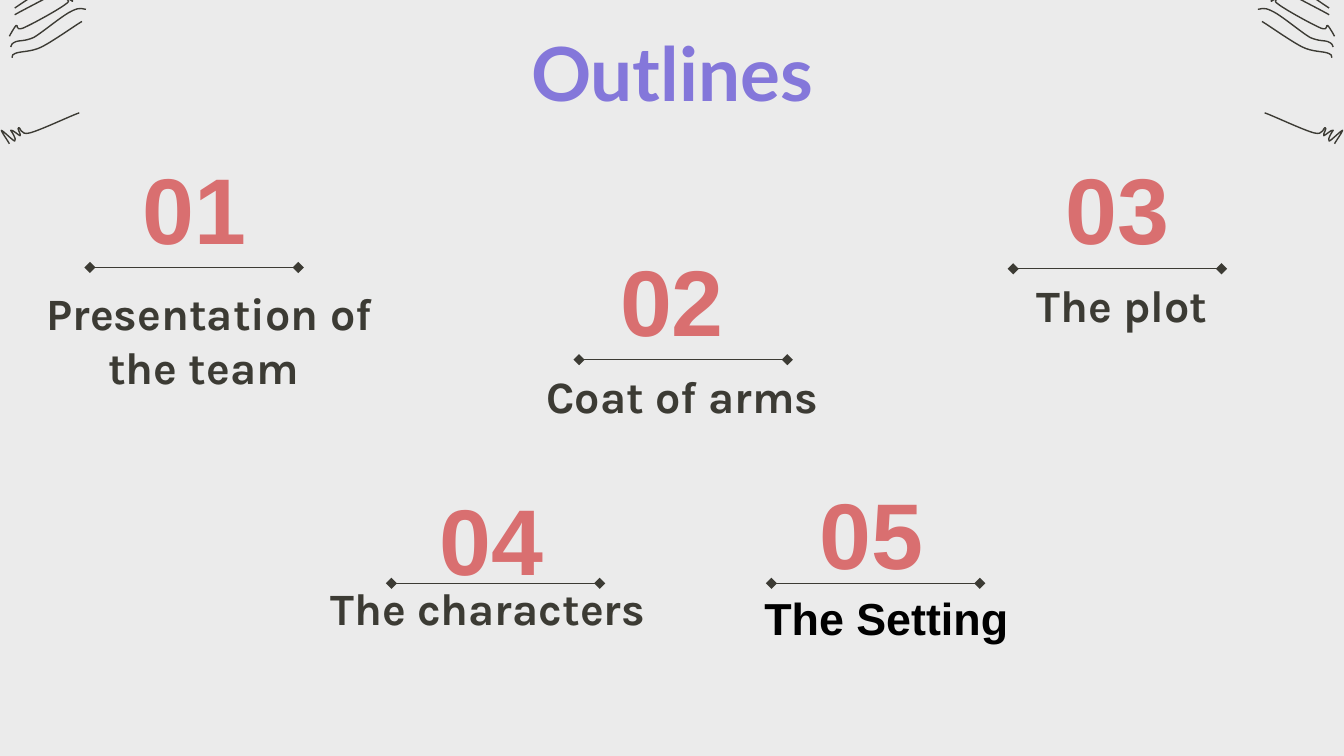
from dataclasses import dataclass

from lxml.etree import SubElement
from pptx import Presentation
from pptx.dml.color import RGBColor
from pptx.enum.shapes import MSO_CONNECTOR
from pptx.enum.text import MSO_ANCHOR, MSO_AUTO_SIZE, PP_ALIGN
from pptx.oxml.ns import qn
from pptx.util import Pt

PAGE_WIDTH, PAGE_HEIGHT = 720, 405
NUMBER_WIDTH, NUMBER_HEIGHT = 106.6, 65.5
RULE_WIDTH = 111.6
INK, CORAL, VIOLET, BLACK, PAPER = "3C3B34", "D96F70", "8477DA", "000000", "EBEBEB"
CURVE_UNIT = 0.72

HAND_STROKES = [
    [(64, -22), (61, -22), (57, -22), (48, -18), (39, -13), (17, 2), (11, 6)],
    [(65, -20), (63, -19), (56, -18), (55, -17), (53, -16), (57, -14), (55, -13),
     (54, -12), (46, -12), (45, -12), (43, -11), (52, -12), (46, -8),
     (40, -4), (16, 8), (11, 11)],
    [(7, 107), (6, 105), (1, 98), (1, 97), (2, 97), (10, 105), (11, 105),
     (13, 104), (8, 97), (8, 97), (9, 96), (14, 101), (15, 101),
     (16, 100), (12, 95), (14, 95), (15, 94), (15, 101), (22, 99),
     (30, 97), (53, 86), (59, 84)],
    [(63, -3), (61, -3), (54, -5), (52, -5), (51, -4), (55, 0), (54, 1),
     (54, 1), (50, -2), (49, -1), (48, -1), (54, 0), (49, 3),
     (44, 7), (24, 18), (17, 21), (11, 23), (14, 18), (12, 19),
     (11, 20), (8, 25), (7, 27)],
    [(64, 7), (62, 7), (60, 5), (54, 8), (47, 11), (32, 24), (25, 28),
     (18, 31), (14, 30), (12, 31), (9, 32), (8, 34), (8, 35)],
    [(61, 16), (56, 19), (39, 31), (31, 35), (23, 39), (15, 38), (11, 40),
     (8, 41), (10, 43), (9, 43)],
]


@dataclass
class Entry:
    number: str
    label: str
    left: float
    top: float
    rule: tuple
    label_box: tuple
    font: str = "Karla"
    color: str = INK
    centred: bool = True


ENTRIES = [
    Entry("01", " Presentation of the team", 50.8, 78.5, (-2.6, 64.8), (-41.4, 75.9, 199.4, 63.4)),
    Entry("02", "Coat of arms", 306.7, 127.4, (3.5, 65.3), (-31.1, 74.9, 180, 31)),
    Entry("03", "The plot", 545.4, 78.5, (-2.6, 65.5), (-34.2, 76.1, 180, 30.2)),
    Entry("04", "The characters", 209.9, 255.6, (-0.2, 56.9), (-40, 51.8, 187.2, 36),
          centred=False),
    Entry("05", "The Setting", 413.5, 252.4, (-0.2, 60.1), (-11.1, 60.6, 172.1, 36),
          font="Arial", color=BLACK, centred=False),
]


def rgb(value):
    return RGBColor.from_string(value)


def write(box, text, font, size, color, anchor, align=PP_ALIGN.CENTER, inset=7.2):
    frame = box.text_frame
    frame.word_wrap = True
    frame.auto_size = MSO_AUTO_SIZE.NONE
    frame.vertical_anchor = anchor
    frame.margin_left = frame.margin_right = Pt(7.2)
    frame.margin_top = frame.margin_bottom = Pt(inset)
    para = frame.paragraphs[0]
    para.alignment = align
    para.space_before = Pt(0)
    span = para.add_run()
    span.text = text
    span.font.name = font
    span.font.size = Pt(size)
    span.font.bold = True
    span.font.color.rgb = rgb(color)


def add_title(page, left, top, width, height):
    box = page.shapes.title
    box.left, box.top, box.width, box.height = Pt(left), Pt(top), Pt(width), Pt(height)
    write(box, "Outlines", "Lato", 40, VIOLET, MSO_ANCHOR.TOP)


def add_rule(page, left, top):
    rule = page.shapes.add_connector(
        MSO_CONNECTOR.STRAIGHT, Pt(left), Pt(top), Pt(left + RULE_WIDTH), Pt(top))
    rule.line.color.rgb = rgb(INK)
    rule.line.width = Pt(0.75)
    outline = rule.line._get_or_add_ln()
    for end in ("a:headEnd", "a:tailEnd"):
        SubElement(outline, qn(end), type="diamond")
    SubElement(rule._element.spPr, qn("a:effectLst"))


def add_entry(page, entry):
    left, top = entry.left, entry.top
    number_box = page.shapes.add_textbox(
        Pt(left), Pt(top), Pt(NUMBER_WIDTH), Pt(NUMBER_HEIGHT))
    write(number_box, entry.number, "Arial", 50, CORAL, MSO_ANCHOR.MIDDLE)

    rule_x, rule_y = entry.rule
    add_rule(page, left + rule_x, top + rule_y)

    label_x, label_y, width, height = entry.label_box
    label_box = page.shapes.add_textbox(
        Pt(left + label_x), Pt(top + label_y), Pt(width), Pt(height))
    if entry.centred:
        layout = (MSO_ANCHOR.BOTTOM, PP_ALIGN.CENTER, 7.2)
    else:
        layout = (MSO_ANCHOR.TOP, PP_ALIGN.LEFT, 3.6)
    write(label_box, entry.label, entry.font, 24, entry.color, *layout)


def bend_segments(stroke):
    outline = next(stroke._element.iter(qn("a:path")))
    segments = outline.findall(qn("a:lnTo"))
    for start in range(0, len(segments), 3):
        curve = SubElement(outline, qn("a:cubicBezTo"))
        for segment in segments[start:start + 3]:
            curve.append(segment[0])
            outline.remove(segment)


def add_hand(page, edge, direction):
    hand = page.shapes.add_group_shape()
    for knots in HAND_STROKES:
        points = [(Pt(edge + direction * CURVE_UNIT * x), Pt(CURVE_UNIT * y))
                  for x, y in knots]
        builder = hand.shapes.build_freeform(*points[0])
        builder.add_line_segments(points[1:], close=False)
        stroke = builder.convert_to_shape()
        bend_segments(stroke)
        stroke.shadow.inherit = False
        stroke.fill.background()
        stroke.line.color.rgb = rgb(INK)
        stroke.line.width = Pt(0.75)


def main():
    deck = Presentation()
    deck.slide_width, deck.slide_height = Pt(PAGE_WIDTH), Pt(PAGE_HEIGHT)
    page = deck.slides.add_slide(deck.slide_layouts[5])
    page.background.fill.solid()
    page.background.fill.fore_color.rgb = rgb(PAPER)
    add_hand(page, PAGE_WIDTH, -1)
    add_hand(page, 0, 1)
    add_title(page, 56.2, 7.2, 607.7, 43.9)
    for entry in ENTRIES:
        add_entry(page, entry)
    deck.save("out.pptx")


if __name__ == "__main__":
    main()
